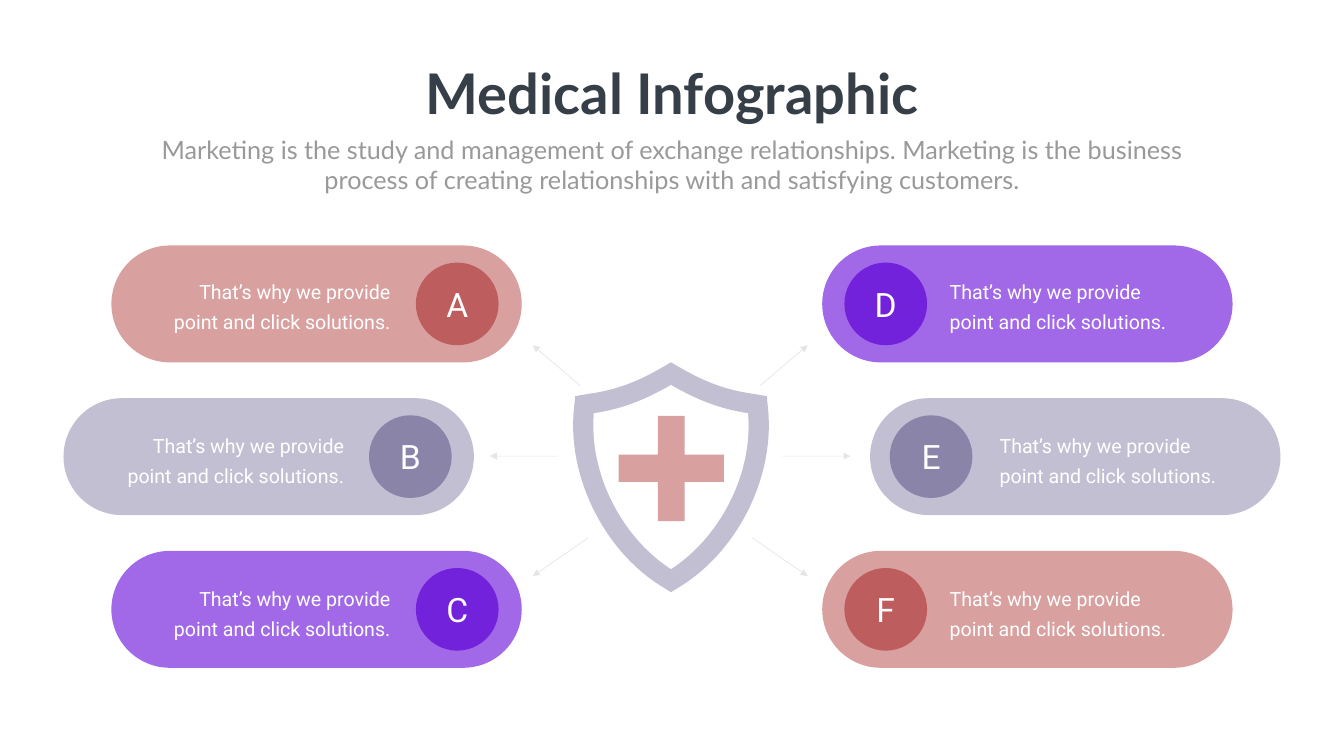
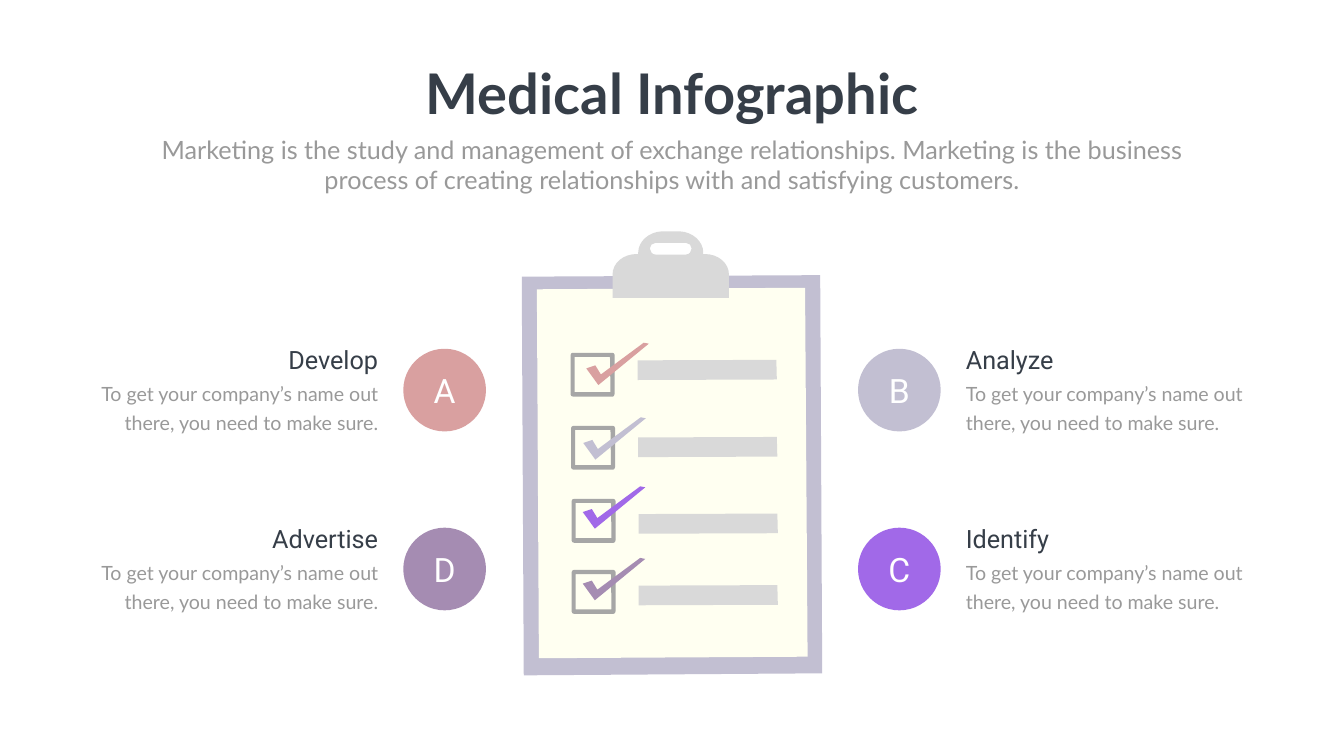
from lxml import etree
from pptx import Presentation
from pptx.dml.color import RGBColor
from pptx.enum.shapes import MSO_CONNECTOR, MSO_SHAPE
from pptx.enum.text import MSO_ANCHOR, MSO_AUTO_SIZE, PP_ALIGN
from pptx.oxml.ns import qn
from pptx.util import Inches, Pt

LEFT, CENTER, RIGHT = PP_ALIGN.LEFT, PP_ALIGN.CENTER, PP_ALIGN.RIGHT
PILL, CIRCLE = MSO_SHAPE.ROUNDED_RECTANGLE, MSO_SHAPE.OVAL

# Shared look
SLIDE_W, SLIDE_H = 26.66, 15
ROSE, ROSE_DARK = "D9A0A0", "BE5D5D"
MIST, MIST_DARK = "C2BFD2", "8A84A9"
VIOLET, VIOLET_DARK = "A169E8", "7322DB"
PLUM, PAPER, WHITE = "A58CB2", "FFFFF1", "FFFFFF"
INK, TEXT_GREY, BOX_GREY, BAR_GREY = "363E48", "999999", "A6A6A6", "D9D9D9"
ARROW_GREY = "808080"
HEADING_FONT, LABEL_FONT = "Lato", "Roboto"
BADGE, LETTER_W, LETTER_H = 1.64, 0.99, 0.91

# Content
TITLE = "Medical Infographic"
SUBTITLE = ("Marketing is the study and management of exchange relationships. "
            "Marketing is the business process of creating relationships with "
            "and satisfying customers.")
PILL_TEXT = "That’s why we provide point and click solutions."
FEATURE_TEXT = "To get your company’s name out there, you need to make sure."

# letter, row, pill left, badge left, caption left, alignment, light, dark
PILLS = [
    ("A", 0, 2.21, 8.25, 2.92, RIGHT, ROSE, ROSE_DARK),
    ("B", 1, 1.26, 7.32, 2.0, RIGHT, MIST, MIST_DARK),
    ("C", 2, 2.21, 8.25, 2.92, RIGHT, VIOLET, VIOLET_DARK),
    ("D", 0, 16.31, 16.75, 18.74, LEFT, VIOLET, VIOLET_DARK),
    ("E", 1, 17.26, 17.65, 19.73, LEFT, MIST, MIST_DARK),
    ("F", 2, 16.31, 16.75, 18.74, LEFT, ROSE, ROSE_DARK),
]
PILL_TOP, PILL_STEP, PILL_W, PILL_H = 4.87, 3.03, 8.14, 2.32
CAPTION_DROPS = (0.5, 0.53, 0.53)

# Each span is the sum of a left x and its mirrored right x.
ARROW_SPAN, SHIELD_SPAN, CLIP_SPAN = 26.59, 26.62, 26.61

# Arrows of the left side: tip, then tail
ARROWS = [((10.57, 6.85), (11.51, 7.65)),
          ((9.72, 9.05), (11.07, 9.05)),
          ((10.57, 11.43), (11.67, 10.67))]

# Outlines: a pair is a corner, six numbers are a cubic curve.
# Shield and clip are left halves, top to bottom.
SHIELD = [(13.31, 7.19), (13.12, 7.3),
          (12.65, 7.57, 12.25, 7.73, 11.71, 7.81),
          (11.41, 7.86), (11.38, 8.17),
          (11.27, 9.49, 11.99, 10.92, 13.1, 11.62), (13.31, 11.75)]
SHIELD_CORE = [(13.31, 7.64),
               (12.78, 7.94, 12.36, 8.11, 11.78, 8.2),
               (11.68, 9.41, 12.35, 10.67, 13.31, 11.29)]
CROSS = [(12.27, 9.02), (13.05, 9.02), (13.05, 8.25), (13.58, 8.25),
         (13.58, 9.02), (14.36, 9.02), (14.36, 9.56), (13.58, 9.56),
         (13.58, 10.34), (13.05, 10.34), (13.05, 9.56), (12.27, 9.56)]
CLIP = [(13.13, 4.59), (12.87, 4.6, 12.66, 4.79, 12.66, 5.01),
        (12.66, 5.04), (12.63, 5.04),
        (12.36, 5.04, 12.15, 5.22, 12.15, 5.45), (12.15, 5.91)]
CLIP_HOLE = [(13.0, 4.82), (12.94, 4.82, 12.89, 4.87, 12.89, 4.93),
             (12.89, 4.99, 12.94, 5.05, 13.0, 5.05)]

# Clipboard
BOARD = [(10.35, 5.49), (16.27, 5.46), (16.31, 13.36), (10.39, 13.4)]
SHEET = [(10.65, 5.74), (15.97, 5.71), (16.02, 13.03), (10.69, 13.06)]
CHECK_BOX = [(0.04, 0), (0.83, 0), (0.85, 0, 0.87, 0.02, 0.87, 0.04),
             (0.87, 0.82), (0.87, 0.85, 0.85, 0.87, 0.83, 0.87),
             (0.05, 0.87), (0.02, 0.87, 0, 0.85, 0, 0.83),
             (0, 0.04), (0, 0.02, 0.02, 0, 0.04, 0)]
CHECK_HOLE = [(0.08, 0.08), (0.78, 0.08), (0.79, 0.78), (0.08, 0.78)]
TICK = [(0, 0.51), (0.18, 0.45), (0.29, 0.63), (1.14, 0), (1.24, 0.02), (0.24, 0.84)]
BAR = [(0, 0.01), (2.75, 0), (2.76, 0.39), (0, 0.4)]
# box corner, tick corner, bar corner, tick colour
CHECKS = [
    ((11.32, 7.0), (11.63, 6.8), (12.65, 7.14), ROSE),
    ((11.33, 8.45), (11.57, 8.28), (12.66, 8.67), MIST),
    ((11.34, 9.9), (11.56, 9.65), (12.67, 10.19), VIOLET),
    ((11.34, 11.31), (11.56, 11.07), (12.67, 11.61), PLUM),
]

# letter, heading, row, alignment, colour
FEATURES = [
    ("B", "Analyze", 0, LEFT, MIST),
    ("C", "Identify", 1, LEFT, VIOLET),
    ("A", "Develop", 0, RIGHT, ROSE),
    ("D", "Advertise", 1, RIGHT, PLUM),
]
FEATURE_TOP, FEATURE_STEP = 6.92, 3.55
FEATURE_EDGES = {LEFT: (17.02, 19.06), RIGHT: (8.0, 7.6)}  # badge left, text edge
FEATURE_HEAD_W, FEATURE_TEXT_W = 5.72, 6.12


def rgb(color):
    return RGBColor.from_string(color)


def box_of(*lengths):
    return [Inches(length) for length in lengths]


def paint(shape, color):
    shape.shadow.inherit = False
    shape.fill.solid()
    shape.fill.fore_color.rgb = rgb(color)
    shape.line.fill.background()
    return shape


def write(shape, text, size, font, color, align, bold=False, spacing=None, wrap=True):
    frame = shape.text_frame
    frame.text = text
    frame.word_wrap = wrap
    frame.auto_size = MSO_AUTO_SIZE.NONE
    frame.vertical_anchor = MSO_ANCHOR.TOP
    paragraph = frame.paragraphs[0]
    paragraph.alignment = align
    paragraph.space_before = Pt(0)
    if spacing:
        paragraph.line_spacing = Pt(spacing)
    paragraph.font.size = Pt(size)
    paragraph.font.name = font
    paragraph.font.bold = bold
    paragraph.font.color.rgb = rgb(color)


def add_text(slide, box, *content, **style):
    write(slide.shapes.add_textbox(*box_of(*box)), *content, **style)


def add_preset(slide, kind, box, color):
    return paint(slide.shapes.add_shape(kind, *box_of(*box)), color)


def pairs(part):
    return list(zip(part[::2], part[1::2]))


def add_outline(slide, color, *contours):
    """Draw closed contours as one shape; later contours cut holes."""
    builder = slide.shapes.build_freeform(*box_of(*contours[0][0]))
    for number, contour in enumerate(contours):
        if number:
            builder.move_to(*box_of(*contour[0]))
        builder.add_line_segments([box_of(*point) for part in contour[1:]
                                   for point in pairs(part)], close=True)
    shape = paint(builder.convert_to_shape(), color)

    # Join the three points of each curve into one Bezier segment
    segments = iter(list(shape._element.iter(qn("a:lnTo"))))
    for contour in contours:
        for part in contour[1:]:
            segment = next(segments)
            if len(part) == 6:
                segment.tag = qn("a:cubicBezTo")
                for extra in (next(segments), next(segments)):
                    segment.append(extra[0])
                    extra.getparent().remove(extra)


def mirrored(half, span):
    """Complete a left half with its right half, bottom to top."""
    def flip(points):
        return tuple(n for x, y in points for n in (span - x, y))

    bottom = half[-1][-2:]
    whole = list(half)
    if abs(span - 2 * bottom[0]) > 0.01:
        whole.append(flip([bottom]))
    for before, part in reversed(list(zip(half, half[1:]))):
        whole.append(flip(pairs(part)[-2::-1] + [before[-2:]] if len(part) == 6
                          else [before[-2:]]))
    return whole


def moved(outline, corner):
    return [tuple(n + corner[i % 2] for i, n in enumerate(part)) for part in outline]


def add_badge(slide, left, top, letter, color):
    add_preset(slide, CIRCLE, (left, top, BADGE, BADGE), color)
    add_text(slide, (left + (BADGE - LETTER_W) / 2, top + (BADGE - LETTER_H) / 2,
                     LETTER_W, LETTER_H), letter, 48, LABEL_FONT, WHITE, CENTER)


def add_arrow(slide, tip, tail):
    arrow = slide.shapes.add_connector(MSO_CONNECTOR.STRAIGHT, *box_of(*tip, *tail))
    arrow.line.width = Pt(1)
    arrow.line.color.rgb = rgb(ARROW_GREY)
    line = arrow.line._get_or_add_ln()
    etree.SubElement(line.find(".//" + qn("a:srgbClr")), qn("a:alpha"), val="20000")
    etree.SubElement(line, qn("a:headEnd"), type="triangle", w="lg", len="lg")
    etree.SubElement(arrow._element.spPr, qn("a:effectLst"))


def add_titled_slide(deck):
    slide = deck.slides.add_slide(deck.slide_layouts[0])
    title, subtitle = slide.placeholders
    for holder, box in ((title, (8.24, 1.12, 10.19, 1.45)),
                        (subtitle, (2.92, 2.61, 20.82, 1.31))):
        holder.left, holder.top, holder.width, holder.height = box_of(*box)
    write(title, TITLE, 80, HEADING_FONT, INK, CENTER, bold=True, wrap=False)
    write(subtitle, SUBTITLE, 36, HEADING_FONT, TEXT_GREY, CENTER)
    return slide


def build_shield_slide(deck):
    slide = add_titled_slide(deck)

    # Pills with badge and caption
    for letter, row, left, badge_left, caption_left, align, light, dark in PILLS:
        top = PILL_TOP + row * PILL_STEP
        pill = add_preset(slide, PILL, (left, top, PILL_W, PILL_H), light)
        pill.adjustments[0] = 0.5
        add_badge(slide, badge_left, top + (PILL_H - BADGE) / 2, letter, dark)
        add_text(slide, (caption_left, top + CAPTION_DROPS[row], 4.92, 1.25),
                 PILL_TEXT, 28, LABEL_FONT, WHITE, align, spacing=43)

    # Arrows, mirrored to the right side
    for ends in ARROWS:
        add_arrow(slide, *ends)
        add_arrow(slide, *[(ARROW_SPAN - x, y) for x, y in ends])

    # Shield
    add_outline(slide, MIST, mirrored(SHIELD, SHIELD_SPAN))
    add_outline(slide, WHITE, mirrored(SHIELD_CORE, SHIELD_SPAN))
    add_outline(slide, ROSE, CROSS)


def build_clipboard_slide(deck):
    slide = add_titled_slide(deck)

    # Clipboard
    add_outline(slide, MIST, BOARD)
    add_outline(slide, PAPER, SHEET)
    add_outline(slide, BAR_GREY, mirrored(CLIP, CLIP_SPAN),
                mirrored(CLIP_HOLE, CLIP_SPAN))

    # Checklist
    for box_corner, tick_corner, bar_corner, color in CHECKS:
        add_outline(slide, BOX_GREY, moved(CHECK_BOX, box_corner),
                    moved(CHECK_HOLE, box_corner))
        add_outline(slide, color, moved(TICK, tick_corner))
        add_outline(slide, BAR_GREY, moved(BAR, bar_corner))

    # Features beside the clipboard
    for letter, heading, row, align, color in FEATURES:
        top = FEATURE_TOP + row * FEATURE_STEP
        badge_left, edge = FEATURE_EDGES[align]
        head_left, text_left = [edge - width if align == RIGHT else edge
                                for width in (FEATURE_HEAD_W, FEATURE_TEXT_W)]
        add_badge(slide, badge_left, top, letter, color)
        add_text(slide, (text_left, top + 0.51, FEATURE_TEXT_W, 1.19), FEATURE_TEXT,
                 28, HEADING_FONT, TEXT_GREY, align, spacing=40.8)
        add_text(slide, (head_left, top - 0.14, FEATURE_HEAD_W, 0.71), heading,
                 36, LABEL_FONT, INK, align)


def main():
    deck = Presentation()
    deck.slide_width, deck.slide_height = box_of(SLIDE_W, SLIDE_H)
    build_shield_slide(deck)
    build_clipboard_slide(deck)
    deck.save("out.pptx")


if __name__ == "__main__":
    main()
